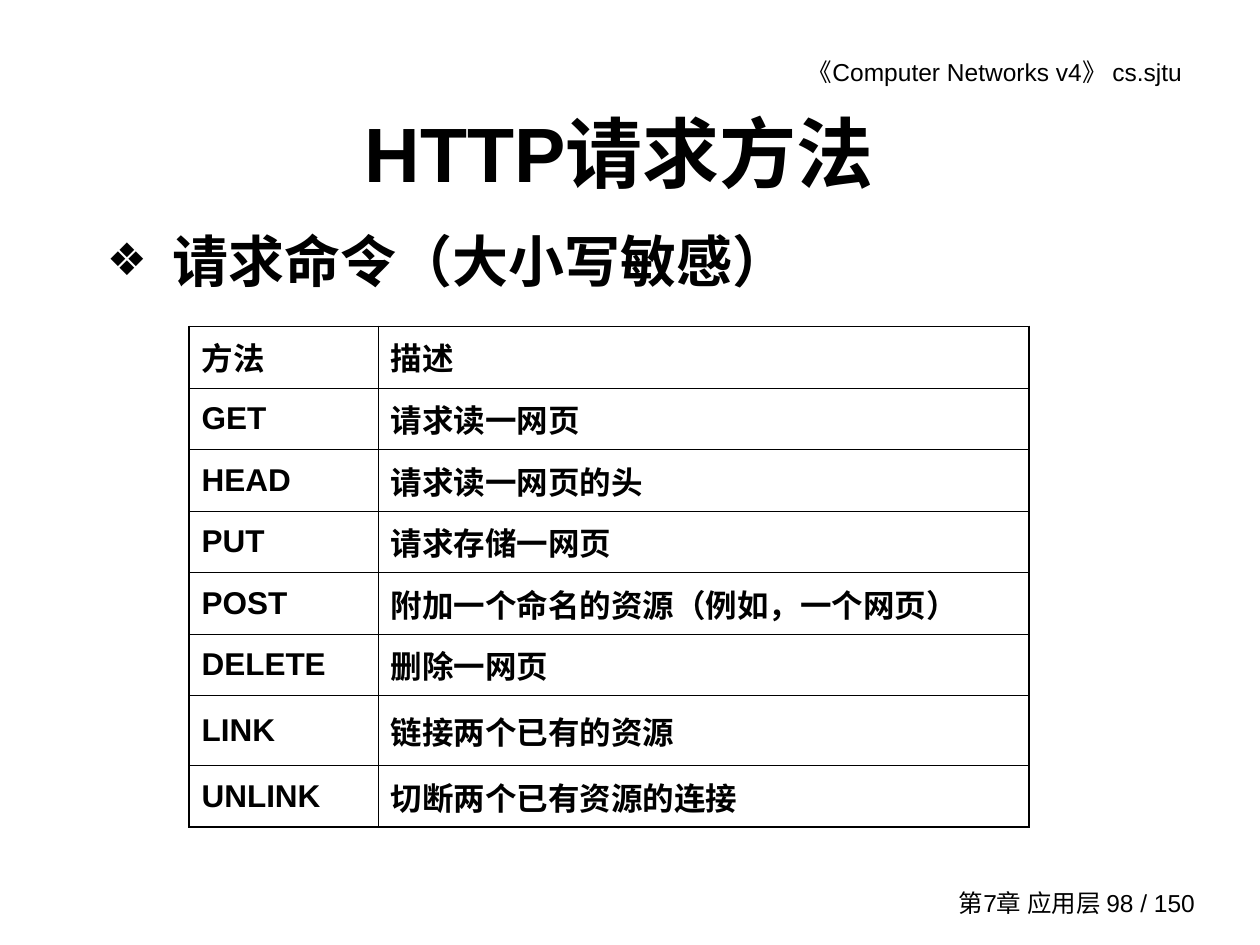
from lxml.etree import SubElement
from pptx import Presentation
from pptx.dml.color import RGBColor
from pptx.enum.text import MSO_ANCHOR, PP_ALIGN
from pptx.oxml.ns import qn
from pptx.util import Pt

BLACK = "000000"
INSET_X, INSET_Y = 7.2, 3.6
OUTER, INNER = 1.08, 0.45
METHODS = [
    ("方法", "描述"),
    ("GET", "请求读一网页"),
    ("HEAD", "请求读一网页的头"),
    ("PUT", "请求存储一网页"),
    ("POST", "附加一个命名的资源（例如，一个网页）"),
    ("DELETE", "删除一网页"),
    ("LINK", "链接两个已有的资源"),
    ("UNLINK", "切断两个已有资源的连接"),
]


def color(hex_value):
    return RGBColor.from_string(hex_value)


def add_run(paragraph, text, size, bold=False):
    run = paragraph.add_run()
    run.text = text
    run.font.name = "Arial"
    run.font.size = Pt(size)
    run.font.bold = bold
    run.font.color.rgb = color(BLACK)


def add_line(slide, box, text, size, bold=False, align=PP_ALIGN.LEFT,
             anchor=MSO_ANCHOR.TOP):
    frame = slide.shapes.add_textbox(*map(Pt, box)).text_frame
    frame.word_wrap = True
    frame.vertical_anchor = anchor
    frame.margin_left = frame.margin_right = Pt(INSET_X)
    frame.margin_top = frame.margin_bottom = Pt(INSET_Y)
    paragraph = frame.paragraphs[0]
    paragraph.alignment = align
    add_run(paragraph, text, size, bold)
    return paragraph


def add_bullet_line(slide, box, text, size):
    paragraph = add_line(slide, box, text, size, bold=True)
    props = paragraph._p.get_or_add_pPr()
    indent = Pt(37.5)
    props.set("marL", str(indent))
    props.set("indent", str(-indent))
    bullet_color = SubElement(props, qn("a:buClr"))
    SubElement(bullet_color, qn("a:srgbClr"), val=BLACK)
    SubElement(props, qn("a:buSzPct"), val="80000")
    SubElement(props, qn("a:buFont"), typeface="Arial")
    SubElement(props, qn("a:buChar"), char="❖")


def set_borders(cell, widths):
    props = cell._tc.get_or_add_tcPr()
    for position, (side, width) in enumerate(widths.items()):
        line = SubElement(props, qn(f"a:{side}"), w=str(Pt(width)))
        fill = SubElement(line, qn("a:solidFill"))
        SubElement(fill, qn("a:srgbClr"), val=BLACK)
        # Borders come before the cell fill
        props.insert(position, line)


def add_method_table(slide, box, rows, name_width, row_height, tall_rows):
    left, top, width, height = box
    last_row, last_col = len(rows) - 1, len(rows[0]) - 1
    table = slide.shapes.add_table(
        len(rows), len(rows[0]), Pt(left), Pt(top), Pt(width), Pt(height)).table
    table.first_row = table.horz_banding = False
    table.columns[0].width = Pt(name_width)
    table.columns[1].width = Pt(width - name_width)

    for r, texts in enumerate(rows):
        table.rows[r].height = Pt(tall_rows.get(texts[0], row_height))
        for c, text in enumerate(texts):
            cell = table.cell(r, c)
            cell.fill.background()
            cell.vertical_anchor = MSO_ANCHOR.MIDDLE
            cell.margin_left = cell.margin_right = Pt(INSET_X)
            cell.margin_top = cell.margin_bottom = Pt(INSET_Y)
            add_run(cell.text_frame.paragraphs[0], text, 18, bold=True)
            set_borders(cell, {
                "lnL": OUTER if c == 0 else INNER,
                "lnR": OUTER if c == last_col else INNER,
                "lnT": OUTER if r == 0 else INNER,
                "lnB": OUTER if r == last_row else INNER,
            })


def main():
    prs = Presentation()
    prs.slide_width, prs.slide_height = Pt(720), Pt(540)
    slide = prs.slides.add_slide(prs.slide_layouts[6])

    # Running header and footer
    add_line(slide, (380, 29, 302.5, 24.5), "《Computer Networks v4》 cs.sjtu", 14,
             align=PP_ALIGN.RIGHT)
    add_line(slide, (527, 504, 163, 24), "第7章 应用层 98 / 150", 14,
             align=PP_ALIGN.RIGHT, anchor=MSO_ANCHOR.MIDDLE)

    # Title and lead point
    add_line(slide, (48, 48, 612, 78), "HTTP请求方法", 44, bold=True,
             align=PP_ALIGN.CENTER, anchor=MSO_ANCHOR.MIDDLE)
    add_bullet_line(slide, (54, 126, 612, 60), "请求命令（大小写敏感）", 32)

    # Request methods
    add_method_table(slide, (108, 186.5, 480, 286.4), METHODS,
                     name_width=108, row_height=35.2, tall_rows={"LINK": 40})

    prs.save("out.pptx")


if __name__ == "__main__":
    main()
